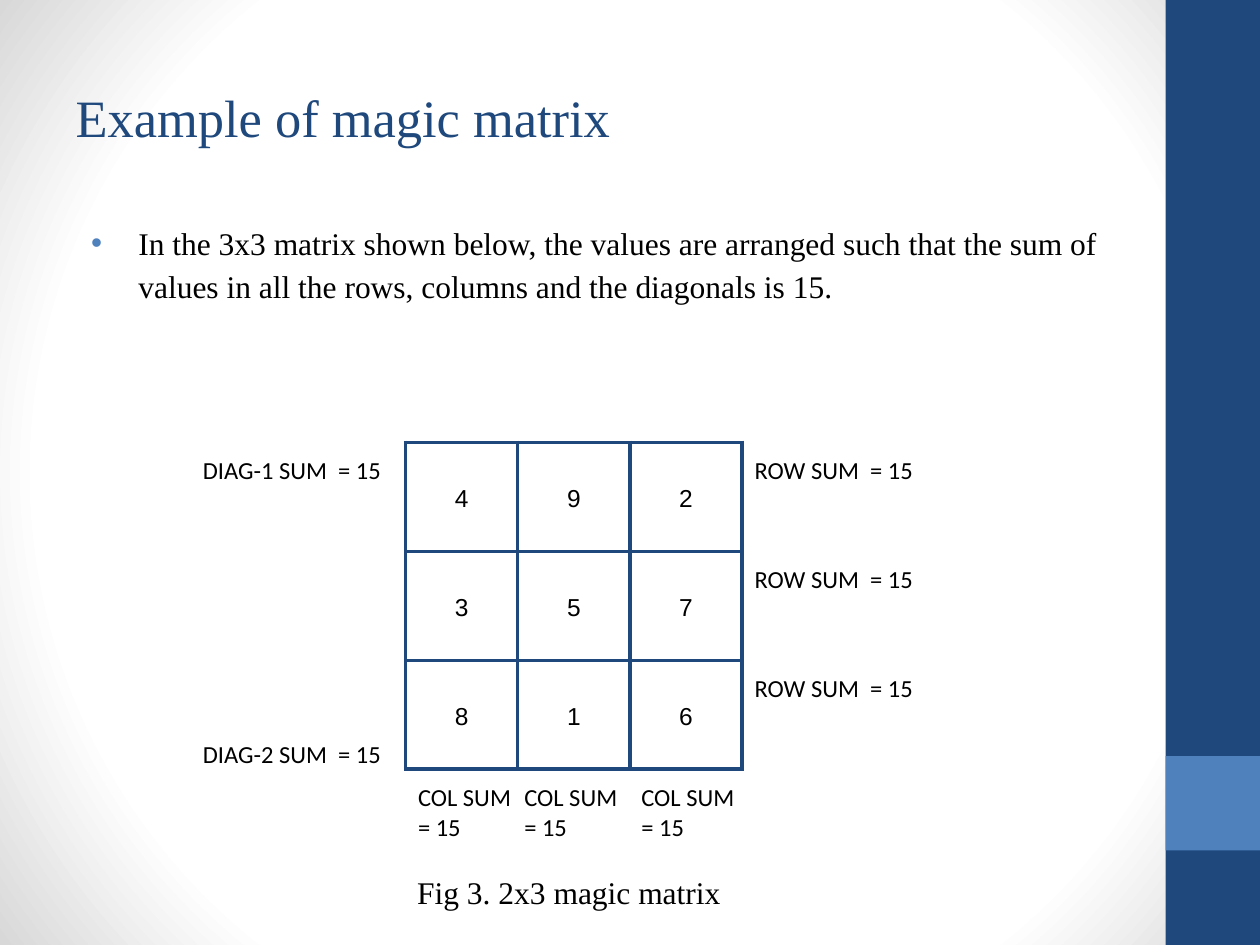
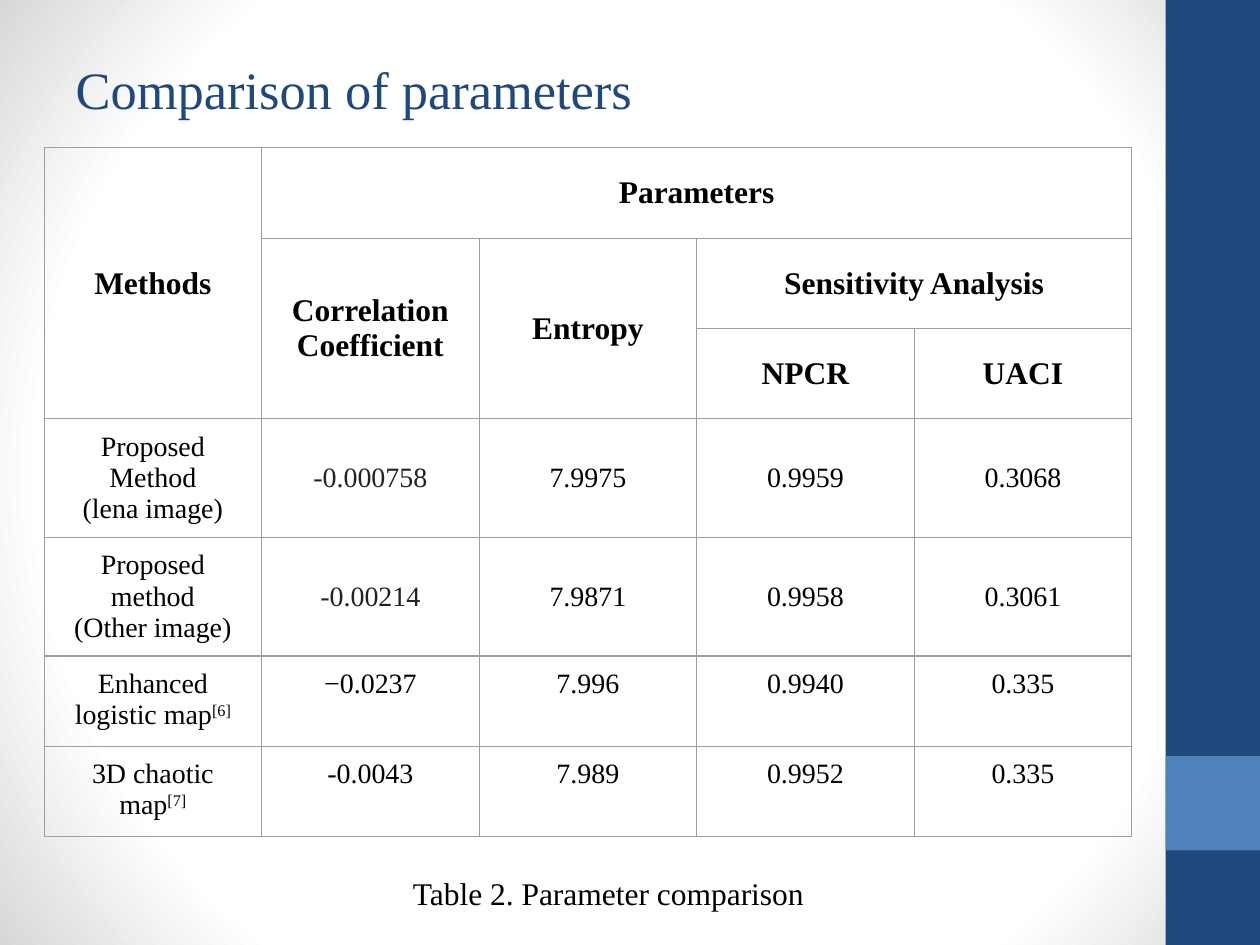
from pptx import Presentation
from pptx.dml.color import RGBColor
from pptx.enum.shapes import MSO_SHAPE as Preset
from pptx.enum.text import MSO_ANCHOR as Anchor, PP_ALIGN as Align
from pptx.oxml import parse_xml
from pptx.oxml.ns import nsdecls, qn
from pptx.util import Pt

NAVY, BLUE, BLACK, INK, GREY = "1F497D", "4F81BD", "000000", "222222", "9E9E9E"
SERIF, SANS, LABEL = "Times New Roman", "Arial", "Calibri"
INSET = 7.2


def colour(code):
    return RGBColor.from_string(code)


def set_insets(target, across=INSET, down=INSET):
    target.margin_left = target.margin_right = Pt(across)
    target.margin_top = target.margin_bottom = Pt(down)


class Deck:
    """Holds the shared style and the current slide."""

    def __init__(self):
        self.deck = Presentation()
        self.deck.slide_width, self.deck.slide_height = Pt(720), Pt(540)
        self.page = None
        self.set_background()

    def set_background(self):
        """Give the master a round gradient, white to light grey."""
        master = self.deck.slide_master
        master.background.fill.gradient()
        stops = "".join(
            f'<a:gs pos="{place * 1000}"><a:srgbClr val="{code}"/></a:gs>'
            for place, code in ((0, "FFFFFF"), (75, "FFFFFF"), (100, "D8D8D8")))
        gradient = parse_xml(
            f'<a:gradFill {nsdecls("a")} rotWithShape="1"><a:gsLst>{stops}</a:gsLst>'
            '<a:path path="circle"><a:fillToRect l="50000" t="50000" r="50000" b="50000"/>'
            '</a:path></a:gradFill>')
        plain = next(master.element.iter(qn("a:gradFill")))
        plain.getparent().replace(plain, gradient)

    def add_page(self, title, top):
        self.page = self.deck.slides.add_slide(self.deck.slide_layouts[5])
        # Side bands
        self.band(0, 540, NAVY)
        self.band(432, 54, BLUE)
        # Title
        box = self.page.shapes.title
        box.left, box.top, box.width, box.height = Pt(36), Pt(top), Pt(600), Pt(90)
        frame = box.text_frame
        frame.vertical_anchor = Anchor.MIDDLE
        set_insets(frame, down=3.6)
        self.add_spans(frame.paragraphs[0], title, 30, SERIF, NAVY)

    def band(self, top, height, fill):
        shape = self.page.shapes.add_shape(
            Preset.RECTANGLE, Pt(666), Pt(top), Pt(54), Pt(height))
        shape.shadow.inherit = False
        shape.fill.solid()
        shape.fill.fore_color.rgb = colour(fill)
        shape.line.fill.background()

    def add_spans(self, para, text, size, font, ink=BLACK, bold=False, align=Align.LEFT):
        """Add the text; whatever follows a caret is superscript."""
        para.alignment = align
        base, _, raised = text.partition("^")
        for part in filter(None, (base, raised)):
            span = para.add_run()
            span.text = part
            span.font.size, span.font.name, span.font.bold = Pt(size), font, bold
            span.font.color.rgb = colour(ink)
            if part == raised:
                span._r.get_or_add_rPr().set("baseline", "30000")

    def text(self, place, text, size=14, font=LABEL, align=Align.LEFT, down=INSET):
        box = self.page.shapes.add_textbox(*map(Pt, place))
        frame = box.text_frame
        frame.word_wrap = True
        set_insets(frame, down=down)
        para = frame.paragraphs[0]
        self.add_spans(para, text, size, font, align=align)
        return para

    def bullet(self, place, text):
        para = self.text(place, text, 18, SERIF, down=3.6)
        para.line_spacing, para.space_before = 1.15, Pt(4)
        props = para._p.get_or_add_pPr()
        props.set("marL", str(Pt(36)))
        props.set("indent", str(Pt(-27)))
        for tag in (f'<a:buClr {nsdecls("a")}><a:srgbClr val="{BLUE}"/></a:buClr>',
                    f'<a:buFont {nsdecls("a")} typeface="Arial"/>',
                    f'<a:buChar {nsdecls("a")} char="•"/>'):
            props.append(parse_xml(tag))

    def table(self, left, top, column, heights, count, border, weight):
        """Add a plain grid with equal columns and ruled cells."""
        frame = self.page.shapes.add_table(
            len(heights), count, Pt(left), Pt(top), Pt(column * count), Pt(sum(heights)))
        grid = frame.table
        grid.first_row = grid.horz_banding = False
        for each in grid.columns:
            each.width = Pt(column)
        for row, height in zip(grid.rows, heights):
            row.height = Pt(height)
        for cell in grid.iter_cells():
            set_insets(cell)
            cell.vertical_anchor = Anchor.MIDDLE
            props = cell._tc.get_or_add_tcPr()
            for side in ("lnL", "lnR", "lnT", "lnB"):
                props.append(parse_xml(
                    f'<a:{side} {nsdecls("a")} w="{Pt(weight)}"><a:solidFill>'
                    f'<a:srgbClr val="{border}"/></a:solidFill></a:{side}>'))
            cell.fill.background()
        return grid

    def fill_cell(self, cell, text, size, font=SERIF, spacing=None, **style):
        frame = cell.text_frame
        for index, line in enumerate(text.split("\n")):
            para = frame.add_paragraph() if index else frame.paragraphs[0]
            para.line_spacing = spacing
            self.add_spans(para, line, size, font, align=Align.CENTER, **style)


def magic_matrix(deck):
    deck.add_page("Example of magic matrix", 21.6)
    deck.bullet((36, 121, 618, 333),
                "In the 3x3 matrix shown below, the values are arranged such that "
                "the sum of values in all the rows, columns and the diagonals is 15.")

    # Matrix
    left, top, column, row = 231.8, 252.7, 64.1, 62.3
    grid = deck.table(left, top, column, [row] * 3, 3, NAVY, 2.25)
    for cell, digit in zip(grid.iter_cells(), "492357816"):
        deck.fill_cell(cell, digit, 14, SANS, spacing=1.15)

    # Sums beside and below the matrix
    for index in range(3):
        deck.text((424.1, top + index * row, 123, 21), "ROW SUM  = 15")
    for start in (left, 292.5, 359.4):
        deck.text((start, 439.8, 70.6, 61), "COL SUM  = 15")
    for number, height in ((1, top), (2, 415.2)):
        deck.text((108.8, height, 123, 21), f"DIAG-{number} SUM  = 15")

    deck.text((231.3, 491.8, 210, 34), "Fig 3. 2x3 magic matrix", 18, SERIF)


def parameter_comparison(deck):
    deck.add_page("Comparison of parameters", 5.6)
    low, high = 51.6, 67.8
    grid = deck.table(25.2, 84.5, 124.3, [low] * 3 + [high] * 2 + [low] * 2, 5, GREY, 0.75)

    # Headings: row, column, last row, last column, text
    headings = [
        (0, 0, 2, 0, "Methods"),
        (0, 1, 0, 4, "Parameters"),
        (1, 1, 2, 1, "Correlation Coefficient"),
        (1, 2, 2, 2, "Entropy"),
        (1, 3, 1, 4, "Sensitivity Analysis"),
        (2, 3, 2, 3, "NPCR"),
        (2, 4, 2, 4, "UACI"),
    ]
    for row, column, last_row, last_column, text in headings:
        cell = grid.cell(row, column)
        if (row, column) != (last_row, last_column):
            cell.merge(grid.cell(last_row, last_column))
        deck.fill_cell(cell, text, 18, bold=True)

    # Results
    results = [
        ("Proposed Method\n(lena image)", "-0.000758", "7.9975", "0.9959", "0.3068"),
        ("Proposed method\n(Other image)", "-0.00214", "7.9871", "0.9958", "0.3061"),
        ("Enhanced logistic map^[6]", "−0.0237", "7.996", "0.9940", "0.335"),
        ("3D chaotic map^[7]", "-0.0043", "7.989", "0.9952", "0.335"),
    ]
    for row, values in enumerate(results, 3):
        proposed = row < 5
        for column, value in enumerate(values):
            cell = grid.cell(row, column)
            if not proposed:
                cell.vertical_anchor = Anchor.TOP
            ink = INK if proposed and column == 1 else BLACK
            deck.fill_cell(cell, value, 16, ink=ink)

    deck.text((219.6, 492.5, 256.3, 36), "Table 2. Parameter comparison", 18, SERIF,
              Align.CENTER)


def main():
    deck = Deck()
    magic_matrix(deck)
    parameter_comparison(deck)
    deck.deck.save("out.pptx")


if __name__ == "__main__":
    main()
